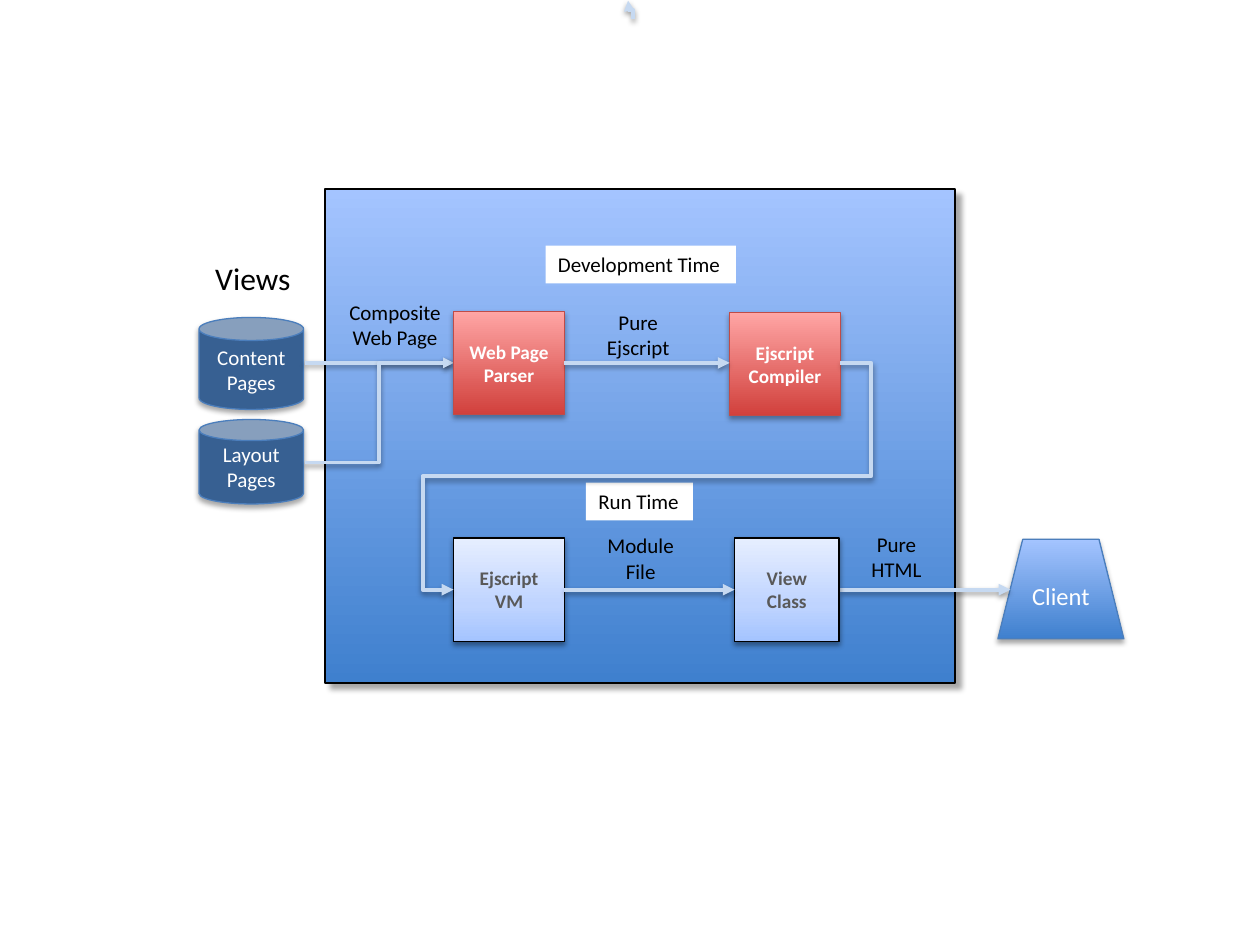
import copy
import dataclasses

import lxml.etree
import pptx
import pptx.dml.color
import pptx.enum.shapes
import pptx.enum.text
import pptx.oxml.ns
import pptx.util

Inches = pptx.util.Inches
qn = pptx.oxml.ns.qn
SHAPE = pptx.enum.shapes.MSO_SHAPE
CONNECTOR = pptx.enum.shapes.MSO_CONNECTOR
ALIGN = pptx.enum.text.PP_ALIGN


@dataclasses.dataclass(frozen=True)
class Theme:
    """Colours, type sizes and shadows of the slide."""

    font: str = "Calibri"
    black: str = "000000"
    white: str = "FFFFFF"
    grey: str = "595959"
    store: str = "376092"
    blue_line: str = "4B7EBC"
    red_line: str = "BF4C48"
    arrow: str = "C6D9F1"
    # Gradient stops run from the bottom edge to the top edge.
    blue: tuple = ((0, "3F80CE"), (100, "A4C4FF"))
    pale: tuple = ((0, "A4C4FF"), (35, "BFD4FF"), (100, "E6EEFF"))
    red: tuple = ((0, "D1403C"), (100, "FFA6A5"))
    box_size: int = 11
    label_size: int = 12
    client_size: int = 14
    heading_size: int = 18
    # Shadows: opacity percent, distance in points, angle in degrees.
    panel_shadow: tuple = (35, 4.8, 45)
    strong_shadow: tuple = (35, 1.8, 90)
    soft_shadow: tuple = (38, 1.6, 90)


THEME = Theme()


def rgb(value):
    """Turn a hex string into a colour."""
    return pptx.dml.color.RGBColor.from_string(value)


def add_child(parent, tag, **attributes):
    """Append a DrawingML element with the given attributes."""
    values = {name: str(value) for name, value in attributes.items()}
    return lxml.etree.SubElement(parent, qn(tag), values)


def add_shadow(properties, shadow):
    """Give shape properties an outer shadow."""
    opacity, distance, angle = shadow
    effects = properties.find(qn("a:effectLst"))
    if effects is None:
        effects = add_child(properties, "a:effectLst")
    outer = add_child(effects, "a:outerShdw", blurRad=pptx.util.Pt(3.1),
                      dist=pptx.util.Pt(distance), dir=angle * 60000,
                      rotWithShape=0)
    color = add_child(outer, "a:srgbClr", val=THEME.black)
    add_child(color, "a:alpha", val=opacity * 1000)


def set_fill(shape, fill):
    """Fill a shape with one colour or with gradient stops."""
    if isinstance(fill, str):
        shape.fill.solid()
        shape.fill.fore_color.rgb = rgb(fill)
        return
    shape.fill.gradient()
    shape.fill.gradient_angle = 90
    stops = shape._element.spPr.find(".//" + qn("a:gsLst"))
    for stop in list(stops):
        stops.remove(stop)
    for position, color in fill:
        stop = add_child(stops, "a:gs", pos=position * 1000)
        add_child(stop, "a:srgbClr", val=color)


def write_text(frame, text, size, color, bold=False, align=ALIGN.CENTER):
    """Write text; newline starts a paragraph, vertical tab breaks a line."""
    for index, line in enumerate(text.split("\n")):
        para = frame.add_paragraph() if index else frame.paragraphs[0]
        para.text = line
        para.alignment = align
        for span in para.runs:
            span.font.name = THEME.font
            span.font.size = pptx.util.Pt(size)
            span.font.bold = bold
            span.font.color.rgb = rgb(color)
        for line_break in para._p.findall(qn("a:br")):
            line_break.append(copy.deepcopy(para.runs[0]._r.rPr))


def add_block(page, kind, place, fill, line, shadow, text="", **text_format):
    """Add a filled, outlined shape with centred text."""
    block = page.shapes.add_shape(kind, *map(Inches, place))
    set_fill(block, fill)
    block.line.color.rgb = rgb(line)
    block.line.width = pptx.util.Pt(0.75)
    block.shadow.inherit = False
    add_shadow(block._element.spPr, shadow)
    if text:
        block.text_frame.vertical_anchor = pptx.enum.text.MSO_ANCHOR.MIDDLE
        write_text(block.text_frame, text, **text_format)


def add_label(page, place, text, size=THEME.label_size, align=ALIGN.CENTER,
              fill=None, wrap=False):
    """Add a text box that fits its text."""
    label = page.shapes.add_textbox(*map(Inches, place))
    if fill:
        set_fill(label, fill)
    label.text_frame.word_wrap = wrap
    label.text_frame.auto_size = pptx.enum.text.MSO_AUTO_SIZE.SHAPE_TO_FIT_TEXT
    write_text(label.text_frame, text, size, THEME.black, align=align)


def add_arrow(page, start, end, width=2.25, rotation=0, bends=()):
    """Add an arrow, bent where its ends differ in height."""
    kind = CONNECTOR.STRAIGHT if start[1] == end[1] else CONNECTOR.ELBOW
    arrow = page.shapes.add_connector(kind, *map(Inches, start + end))
    arrow.line.color.rgb = rgb(THEME.arrow)
    arrow.line.width = pptx.util.Pt(width)
    properties = arrow._element.spPr
    add_child(properties.find(qn("a:ln")), "a:tailEnd", type="triangle")
    add_shadow(properties, THEME.soft_shadow)
    if rotation:
        properties.find(qn("a:xfrm")).set("rot", str(rotation * 60000))
    if bends:
        geometry = properties.find(qn("a:prstGeom"))
        geometry.set("prst", f"bentConnector{len(bends) + 2}")
        guides = geometry.find(qn("a:avLst"))
        if guides is None:
            guides = add_child(geometry, "a:avLst")
        for number, bend in enumerate(bends, 1):
            add_child(guides, "a:gd", name=f"adj{number}",
                      fmla=f"val {round(bend * 100000)}")


def add_sources(page):
    """Add the panel, the two page stores and the client."""
    add_block(page, SHAPE.RECTANGLE, (2.58, 1.5, 5, 3.92), THEME.blue,
              THEME.black, THEME.panel_shadow)
    for top, height, text in ((3.33, 0.67, "Layout\nPages"),
                              (2.52, 0.73, "Content\nPages")):
        add_block(page, SHAPE.CAN, (1.58, top, 0.83, height), THEME.store,
                  THEME.blue_line, THEME.strong_shadow, text,
                  size=THEME.label_size, color=THEME.white)
    add_block(page, SHAPE.TRAPEZOID, (7.92, 4.28, 1, 0.79), THEME.blue,
              THEME.blue_line, THEME.strong_shadow, "Client",
              size=THEME.client_size, color=THEME.white)


def add_steps(page):
    """Add the run-time and development-time boxes."""
    pale = (THEME.pale, THEME.black, THEME.soft_shadow, THEME.grey)
    red = (THEME.red, THEME.red_line, THEME.strong_shadow, THEME.white)
    steps = (
        (3.6, 4.27, 0.88, "Ejscript\nVM", pale),
        (5.83, 4.27, 0.83, "View\nClass", pale),
        (3.6, 2.47, 0.88, "Web Page\nParser", red),
        (5.79, 2.48, 0.88, "Ejscript\nCompiler", red),
    )
    for left, top, width, text, (fill, line, shadow, color) in steps:
        add_block(page, SHAPE.RECTANGLE, (left, top, width, 0.82), fill, line,
                  shadow, text, size=THEME.box_size, color=color, bold=True)


def main():
    """Build the slide and save it."""
    deck = pptx.Presentation()
    deck.slide_width, deck.slide_height = Inches(10), Inches(7.5)
    page = deck.slides.add_slide(deck.slide_layouts[6])
    upper, lower = 2.88, 4.68

    add_sources(page)
    add_arrow(page, (6.67, lower), (8.02, lower))
    add_arrow(page, (4.93, 0.1), (5.08, 0.06), width=2, rotation=270)
    add_arrow(page, (2.42, upper), (3.6, upper), width=2)
    add_arrow(page, (2.42, 3.67), (3.6, upper), width=2)
    add_steps(page)
    add_label(page, (4.33, 1.95, 1.51, 0.3), "Development Time",
              align=ALIGN.LEFT, fill=THEME.white)
    add_label(page, (4.65, 3.83, 0.85, 0.3), "Run Time",
              align=ALIGN.LEFT, fill=THEME.white)
    add_label(page, (2.67, 2.33, 0.93, 0.5), "Composite\vWeb Page", wrap=True)
    add_arrow(page, (4.48, upper), (5.79, upper))
    add_label(page, (4.71, 2.41, 0.71, 0.5), "Pure\vEjscript")
    add_arrow(page, (6.67, upper), (3.6, lower), bends=(-0.08, 0.5, 1.08))
    add_arrow(page, (4.48, lower), (5.83, lower))
    add_label(page, (4.72, 4.18, 0.73, 0.5), "Module\vFile")
    add_label(page, (6.81, 4.17, 0.61, 0.5), "Pure\vHTML")
    add_label(page, (1.61, 2.01, 0.81, 0.4), "Views",
              size=THEME.heading_size, align=ALIGN.LEFT)
    deck.save("out.pptx")


main()
